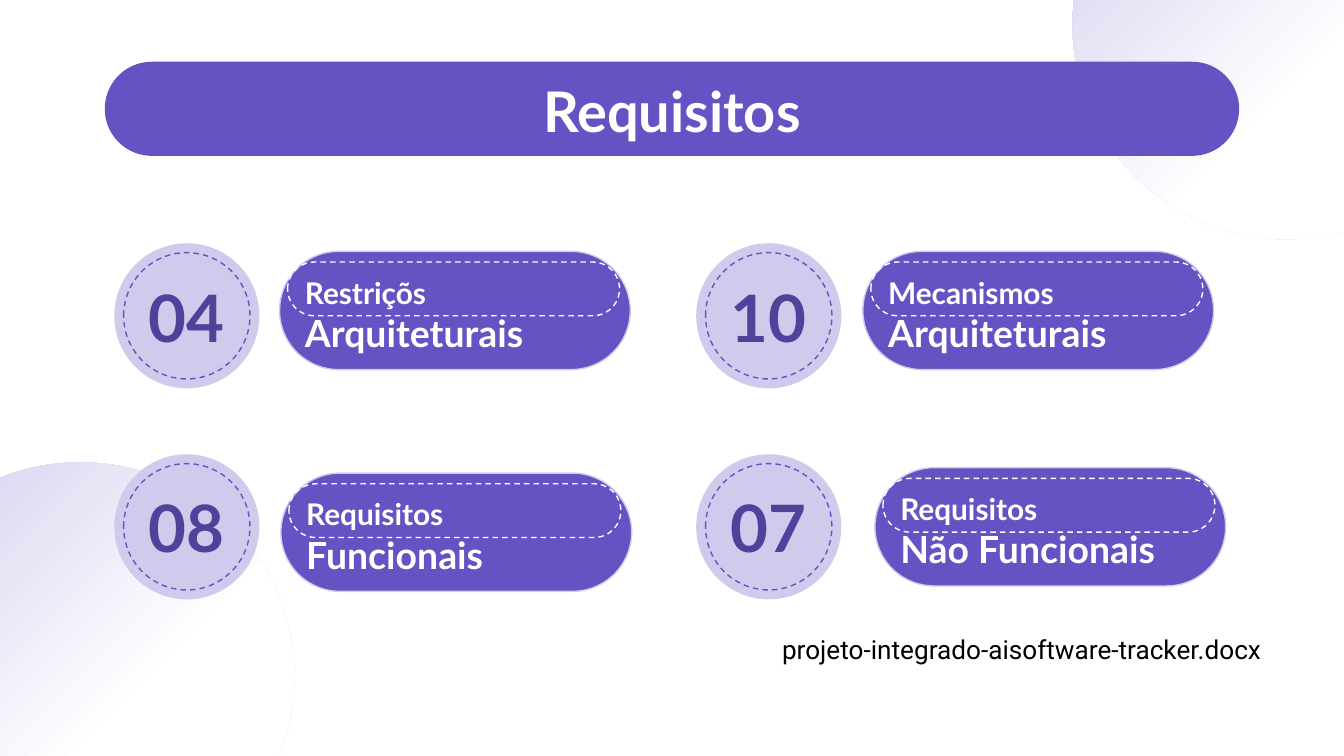
from dataclasses import dataclass

from pptx import Presentation
from pptx.dml.color import RGBColor
from pptx.enum.dml import MSO_LINE
from pptx.enum.shapes import MSO_SHAPE
from pptx.enum.text import MSO_ANCHOR, PP_ALIGN
from pptx.shapes.autoshape import Shape
from pptx.slide import Slide
from pptx.text.text import Font
from pptx.util import Inches, Pt

ELLIPSE, PILL = MSO_SHAPE.OVAL, MSO_SHAPE.ROUNDED_RECTANGLE
DASH = MSO_LINE.DASH
LEFT, CENTER = PP_ALIGN.LEFT, PP_ALIGN.CENTER
TOP, MIDDLE, BOTTOM = MSO_ANCHOR.TOP, MSO_ANCHOR.MIDDLE, MSO_ANCHOR.BOTTOM


@dataclass(frozen=True)
class Theme:
    purple: str = "6453C2"
    dark_purple: str = "50429B"
    lavender: str = "D0CBED"
    white: str = "FFFFFF"
    black: str = "000000"
    heading_font: str = "Lato"
    body_font: str = "Roboto"
    title_size: int = 30
    number_size: int = 35
    lead_size: int = 16
    name_size: int = 20
    file_size: int = 14
    outline: float = 0.75


@dataclass(frozen=True)
class Box:
    left: float
    top: float
    width: float
    height: float

    def lengths(self) -> list[int]:
        return [Inches(value) for value in (self.left, self.top, self.width, self.height)]


@dataclass(frozen=True)
class Requirement:
    number: str
    lead: str
    name: str
    column: int
    row: int
    label_left: float
    label_top: float


THEME = Theme()
PAGE_WIDTH = 10
PAGE_HEIGHT = PAGE_WIDTH * 9 / 16
BADGE_LEFT, BADGE_TOP = 0.85, 1.81
COLUMN_STEP, ROW_STEP = 4.33, 1.57
BADGE_SIZE, RING_SIZE = 1.08, 0.94

REQUIREMENTS = (
    Requirement("04", "Restriçõs", "Arquiteturais", 0, 0, 2.08, 1.87),
    Requirement("10", "Mecanismos", "Arquiteturais", 1, 0, 6.42, 1.87),
    Requirement("08", "Requisitos", "Funcionais", 0, 1, 2.09, 3.52),
    Requirement("07", "Requisitos", "Não Funcionais", 1, 1, 6.51, 3.48),
)


def add_figure(slide: Slide, kind: MSO_SHAPE, box: Box, fill: str | None = None,
               line: str | None = None, dashed: bool = False) -> Shape:
    figure = slide.shapes.add_shape(kind, *box.lengths())
    figure.shadow.inherit = False
    if kind == PILL:
        figure.adjustments[0] = 0.5
    if fill:
        figure.fill.solid()
        figure.fill.fore_color.rgb = RGBColor.from_string(fill)
    else:
        figure.fill.background()
    if line:
        figure.line.color.rgb = RGBColor.from_string(line)
        figure.line.width = Pt(THEME.outline)
        if dashed:
            figure.line.dash_style = DASH
    else:
        figure.line.fill.background()
    return figure


def add_glow(slide: Slide, left: float, top: float) -> None:
    """Draw a corner circle that fades diagonally from lavender to white."""
    glow = add_figure(slide, ELLIPSE, Box(left, top, 3.19, 3.19))
    glow.fill.gradient()
    glow.fill.gradient_angle = 315
    stops = ((0, THEME.lavender), (0.6, THEME.white))
    for stop, (position, color) in zip(glow.fill.gradient_stops, stops):
        stop.position = position
        stop.color.rgb = RGBColor.from_string(color)


def style_font(font: Font, size: int, color: str, name: str, bold: bool) -> None:
    font.size, font.name, font.bold = Pt(size), name, bold
    font.color.rgb = RGBColor.from_string(color)


def add_text(slide: Slide, box: Box, text: str, sizes: tuple[int, ...], color: str,
             anchor: MSO_ANCHOR = TOP, align: PP_ALIGN = LEFT,
             font_name: str = THEME.heading_font, bold: bool = True) -> None:
    """Add a text box; each line of the text takes its own size."""
    frame = slide.shapes.add_textbox(*box.lengths()).text_frame
    frame.word_wrap = True
    frame.vertical_anchor = anchor
    frame.margin_left = frame.margin_right = Inches(0.1)
    frame.margin_top = frame.margin_bottom = Inches(0.1)
    para = frame.paragraphs[0]
    para.text = text
    para.alignment = align
    for span, size in zip(para.runs, sizes):
        style_font(span.font, size, color, font_name, bold)


def add_badge(slide: Slide, item: Requirement) -> None:
    left = BADGE_LEFT + item.column * COLUMN_STEP
    top = BADGE_TOP + item.row * ROW_STEP
    inset = (BADGE_SIZE - RING_SIZE) / 2
    add_figure(slide, ELLIPSE, Box(left, top, BADGE_SIZE, BADGE_SIZE), THEME.lavender)
    add_figure(slide, ELLIPSE, Box(left + inset, top + inset, RING_SIZE, RING_SIZE),
               line=THEME.purple, dashed=True)
    add_text(slide, Box(left + 0.11, top + 0.28, 0.86, 0.52), item.number,
             (THEME.number_size,), THEME.dark_purple, MIDDLE, CENTER)


def add_label(slide: Slide, item: Requirement) -> None:
    left, top = item.label_left, item.label_top
    add_figure(slide, PILL, Box(left, top, 2.61, 0.88), THEME.purple, THEME.lavender)
    add_figure(slide, PILL, Box(left + 0.06, top + 0.08, 2.47, 0.4),
               line=THEME.white, dashed=True)
    add_text(slide, Box(left + 0.09, top + 0.48, 2.65, 0.39),
             f"{item.lead}\v{item.name}", (THEME.lead_size, THEME.name_size),
             THEME.white, BOTTOM)


def main() -> None:
    deck = Presentation()
    deck.slide_width, deck.slide_height = Inches(PAGE_WIDTH), Inches(PAGE_HEIGHT)
    page = deck.slides.add_slide(deck.slide_layouts[6])

    add_glow(page, -1, 3.44)
    add_glow(page, 7.98, -1.41)
    add_figure(page, PILL, Box(0.78, 0.46, 8.44, 0.7), THEME.purple)
    add_text(page, Box(0.78, 0.47, 8.44, 0.56), "Requisitos",
             (THEME.title_size,), THEME.white, align=CENTER)
    for item in REQUIREMENTS:
        add_badge(page, item)
        add_label(page, item)
    add_text(page, Box(5.72, 4.61, 4.01, 0.69), "projeto-integrado-aisoftware-tracker.docx",
             (THEME.file_size,), THEME.black, font_name=THEME.body_font, bold=False)
    deck.save("out.pptx")


if __name__ == "__main__":
    main()
